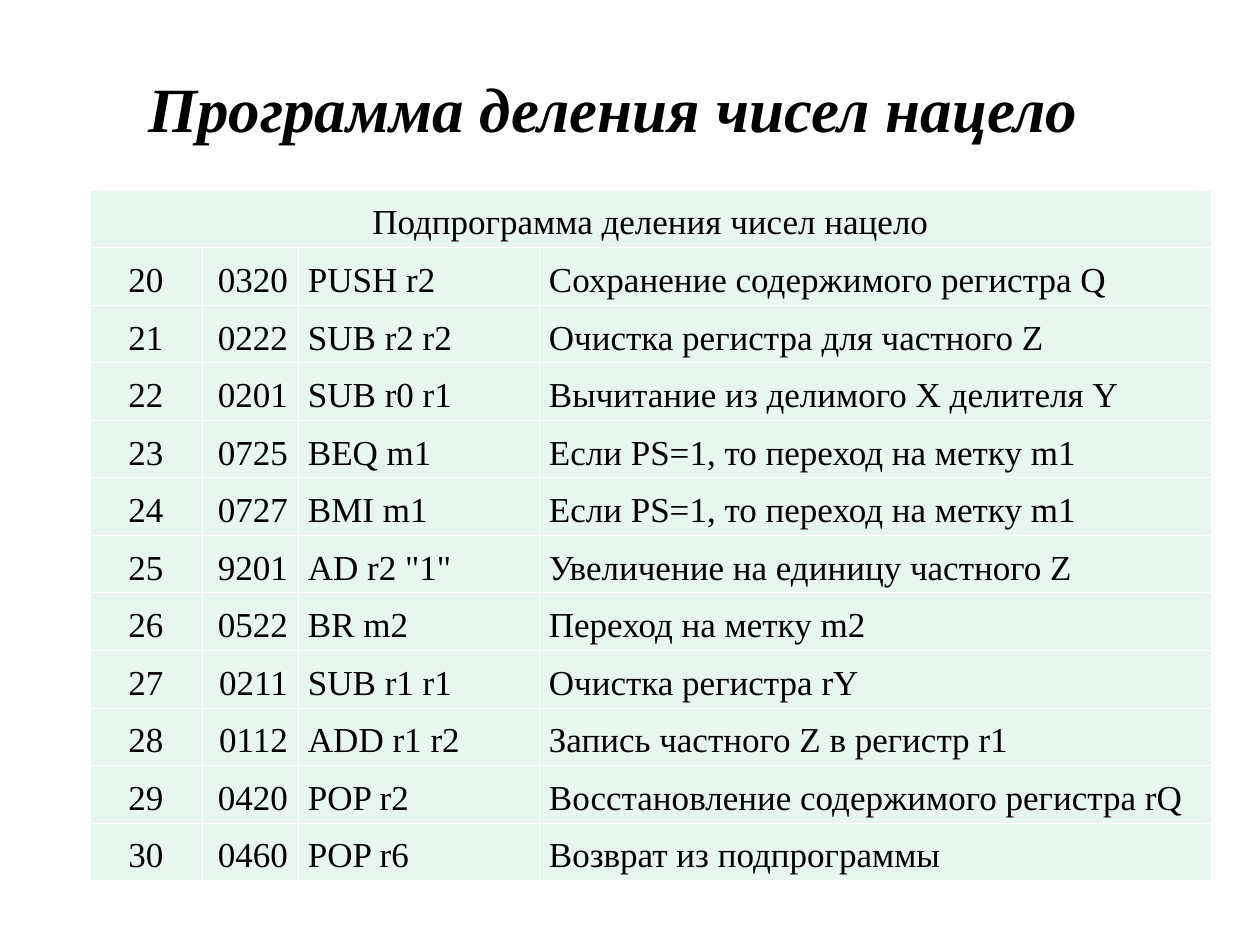
from lxml.etree import SubElement
from pptx import Presentation
from pptx.dml.color import RGBColor
from pptx.enum.text import MSO_ANCHOR, PP_ALIGN
from pptx.oxml.ns import qn
from pptx.util import Pt

TITLE = "Программа деления чисел нацело"
HEADING = "Подпрограмма деления чисел нацело"
FIRST_ADDRESS = 20
COMMANDS = [
    ("0320", "PUSH r2", "Сохранение содержимого регистра Q"),
    ("0222", "SUB r2 r2", "Очистка регистра для частного Z"),
    ("0201", "SUB r0 r1", "Вычитание из делимого X делителя Y"),
    ("0725", "BEQ m1", "Если PS=1, то переход на метку m1"),
    ("0727", "BMI m1", "Если PS=1, то переход на метку m1"),
    ("9201", 'AD r2 "1"', "Увеличение на единицу частного Z"),
    ("0522", "BR m2", "Переход на метку m2"),
    ("0211", "SUB r1 r1", "Очистка регистра rY"),
    ("0112", "ADD r1 r2", "Запись частного Z в регистр r1"),
    ("0420", "POP r2", "Восстановление содержимого регистра rQ"),
    ("0460", "POP r6", "Возврат из подпрограммы"),
]
COLORS = {"text": "000000", "cell": "E7F6EF", "border": "FFFFFF"}
FONT = "Times New Roman"
COLUMN_WIDTHS = [112, 96, 241, 672]
COLUMN_ALIGNS = [PP_ALIGN.CENTER, PP_ALIGN.RIGHT, PP_ALIGN.JUSTIFY, PP_ALIGN.JUSTIFY]
ROW_HEIGHT = 53
EMU_PER_PX = 914400 // 126


def px(length):
    return length * EMU_PER_PX


def write(frame, text, size, align, spacing=None, bold=False, italic=False):
    para = frame.paragraphs[0]
    para.alignment = align
    para.line_spacing = spacing
    span = para.add_run()
    span.text = text
    span.font.name = FONT
    span.font.size = Pt(size)
    span.font.bold = bold
    span.font.italic = italic
    span.font.color.rgb = RGBColor.from_string(COLORS["text"])


def style_cell(cell):
    properties = cell._tc.get_or_add_tcPr()
    for side in ("lnL", "lnR", "lnT", "lnB"):
        line = SubElement(properties, qn(f"a:{side}"), w=str(Pt(0.45)))
        fill = SubElement(line, qn("a:solidFill"))
        SubElement(fill, qn("a:srgbClr"), val=COLORS["border"])
    cell.fill.solid()
    cell.fill.fore_color.rgb = RGBColor.from_string(COLORS["cell"])
    cell.margin_left = cell.margin_right = px(10)
    cell.margin_top, cell.margin_bottom = px(6), px(5)


def add_title(page):
    box = page.shapes.title
    box.left, box.top, box.width, box.height = px(15), px(60), px(1196), px(95)
    box.text_frame.vertical_anchor = MSO_ANCHOR.MIDDLE
    write(box.text_frame, TITLE, 36, PP_ALIGN.CENTER, bold=True, italic=True)


def add_program(page):
    row_count = len(COMMANDS) + 1
    table = page.shapes.add_table(
        row_count, len(COLUMN_WIDTHS), px(90), px(190),
        px(sum(COLUMN_WIDTHS)), px(ROW_HEIGHT * row_count),
    ).table
    table.first_row = table.horz_banding = False
    for column, width in zip(table.columns, COLUMN_WIDTHS):
        column.width = px(width)
    for row in table.rows:
        row.height = px(ROW_HEIGHT)
        for cell in row.cells:
            style_cell(cell)

    heading = table.cell(0, 0)
    heading.merge(table.cell(0, len(COLUMN_WIDTHS) - 1))
    write(heading.text_frame, HEADING, 20, PP_ALIGN.CENTER, spacing=1.2)
    for number, command in enumerate(COMMANDS):
        values = (str(FIRST_ADDRESS + number), *command)
        for column, (text, align) in enumerate(zip(values, COLUMN_ALIGNS)):
            frame = table.cell(number + 1, column).text_frame
            write(frame, text, 20, align, spacing=1.2)


def main():
    deck = Presentation()
    deck.slide_width, deck.slide_height = px(1260), px(945)
    page = deck.slides.add_slide(deck.slide_layouts[5])
    add_title(page)
    add_program(page)
    deck.save("out.pptx")


if __name__ == "__main__":
    main()
